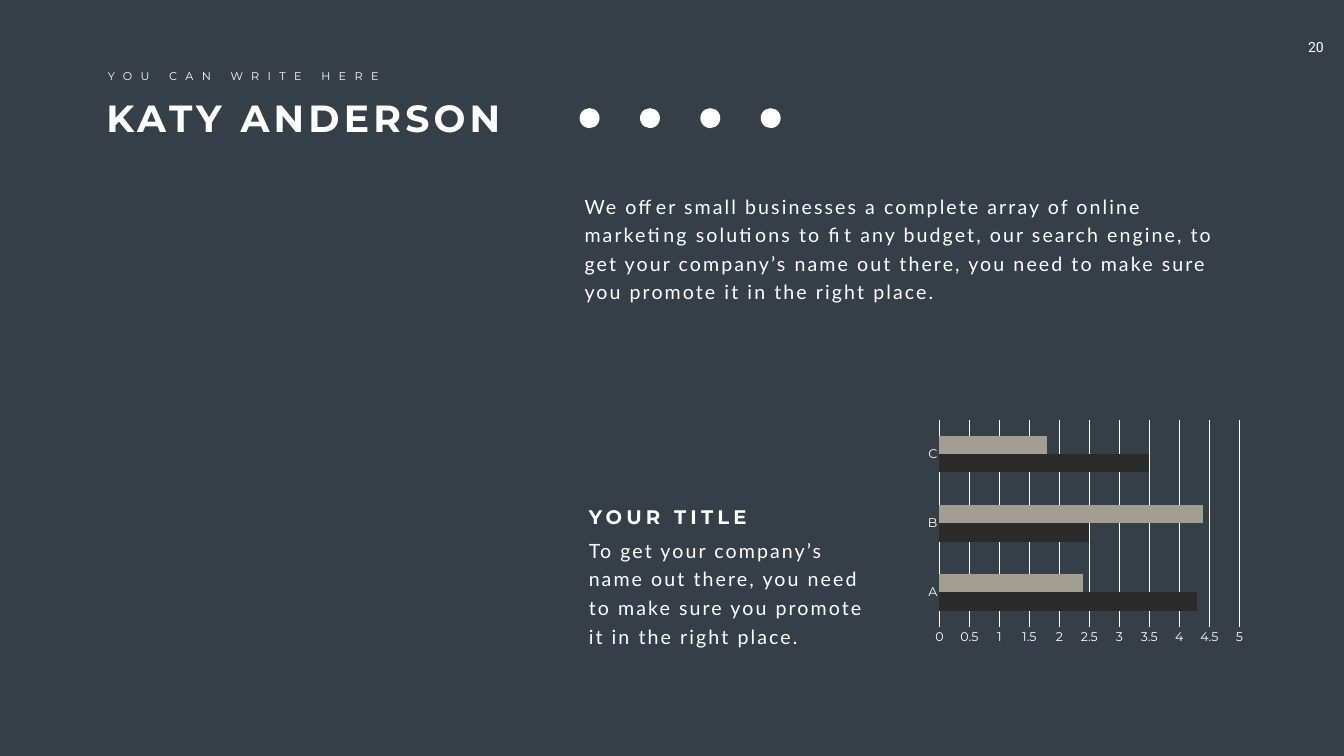
from pptx import Presentation
from pptx.chart.data import CategoryChartData
from pptx.dml.color import RGBColor
from pptx.enum.chart import XL_CHART_TYPE, XL_TICK_MARK
from pptx.enum.shapes import MSO_SHAPE
from pptx.enum.text import MSO_AUTO_SIZE, PP_ALIGN
from pptx.util import Emu, Pt

EMU_PER_PX = 9525
COLORS = {"background": "363E48", "white": "FFFFFF", "dark": "2B2B2B", "sand": "A29F92"}

FORMATS = {
    "page number": {"name": "Roboto", "size": Pt(20)},
    "kicker": {"name": "Montserrat", "size": Pt(16)},
    "name": {"name": "Montserrat", "size": Pt(54), "bold": True},
    "heading": {"name": "Montserrat", "size": Pt(28), "bold": True},
    "body": {"name": "Lato", "size": Pt(28)},
    "chart": {"name": "Montserrat", "size": Pt(18)},
}
LETTER_SPACING = {"kicker": 12, "name": 6, "heading": 6, "body": 3}
LINE_SPACING = {"body": Pt(40.8)}


def px(length):
    return Emu(length * EMU_PER_PX)


def color(key):
    return RGBColor.from_string(COLORS[key])


def apply_format(font, style):
    for attribute, value in FORMATS[style].items():
        setattr(font, attribute, value)
    font.color.rgb = color("white")


class SlideBuilder:
    def __init__(self, deck):
        self.page = deck.slides.add_slide(deck.slide_layouts[6])
        fill = self.page.background.fill
        fill.solid()
        fill.fore_color.rgb = color("background")

    def text(self, words, style, place, align=PP_ALIGN.LEFT, margins=None, wrap=True):
        """Add one paragraph; margins maps frame margin names to px."""
        box = self.page.shapes.add_textbox(*map(px, place))
        frame = box.text_frame
        frame.word_wrap = wrap
        frame.auto_size = MSO_AUTO_SIZE.SHAPE_TO_FIT_TEXT
        for attribute, value in (margins or {}).items():
            setattr(frame, attribute, px(value))
        para = frame.paragraphs[0]
        para.alignment = align
        para.line_spacing = LINE_SPACING.get(style)
        span = para.add_run()
        span.text = words
        apply_format(span.font, style)
        if style in LETTER_SPACING:
            span._r.get_or_add_rPr().set("spc", str(LETTER_SPACING[style] * 100))

    def dot(self, center_x, center_y, size):
        place = (center_x - size // 2, center_y - size // 2, size, size)
        shape = self.page.shapes.add_shape(MSO_SHAPE.OVAL, *map(px, place))
        shape.shadow.inherit = False
        shape.fill.solid()
        shape.fill.fore_color.rgb = color("white")
        shape.line.fill.background()

    def bar_chart(self, categories, series, place):
        """Add clustered bars; series maps a name to (values, color key)."""
        data = CategoryChartData()
        data.categories = categories
        for name, (values, _) in series.items():
            data.add_series(name, values)
        chart = self.page.shapes.add_chart(
            XL_CHART_TYPE.BAR_CLUSTERED, *map(px, place), data
        ).chart
        chart.has_title = False
        chart.has_legend = False
        apply_format(chart.font, "chart")

        plot = chart.plots[0]
        plot.gap_width = 182
        plot.vary_by_categories = False
        for bars, (_, key) in zip(plot.series, series.values()):
            bars.format.fill.solid()
            bars.format.fill.fore_color.rgb = color(key)

        category_axis, value_axis = chart.category_axis, chart.value_axis
        for axis in (category_axis, value_axis):
            axis.major_tick_mark = axis.minor_tick_mark = XL_TICK_MARK.NONE
            apply_format(axis.tick_labels.font, "chart")
        scale = {"minimum_scale": 0, "maximum_scale": 5, "major_unit": 0.5}
        for attribute, value in scale.items():
            setattr(value_axis, attribute, value)
        value_axis.format.line.fill.background()
        for line in (category_axis.format.line, value_axis.major_gridlines.format.line):
            line.color.rgb = color("white")
            line.width = Pt(0.75)


def main():
    deck = Presentation()
    deck.slide_width, deck.slide_height = px(2560), px(1440)
    slide = SlideBuilder(deck)

    slide.text("20", "page number", (2466, 64, 97, 52), PP_ALIGN.CENTER,
               {"margin_left": 19, "margin_right": 35, "margin_top": 10, "margin_bottom": 10})
    slide.text("YOU CAN WRITE HERE", "kicker", (196, 128, 555, 36), wrap=False)
    slide.text("KATY ANDERSON", "name", (193, 176, 912, 97))

    for index in range(4):
        slide.dot(1123 + 115 * index, 225, 38)

    slide.text(
        "We offer small businesses a complete array of online marketing solutions to fit "
        "any budget, our search engine, to get your company’s name out there, you need to "
        "make sure you promote it in the right place.",
        "body", (1104, 356, 1275, 225))
    slide.text("YOUR TITLE", "heading", (1112, 957, 488, 55))
    slide.text(
        "To get your company’s name out there, you need to make sure you promote it in "
        "the right place.",
        "body", (1112, 1012, 554, 225))

    slide.bar_chart(
        ["A", "B", "C"],
        {"Series 1": ([4.3, 2.5, 3.5], "dark"), "Series 2": ([2.4, 4.4, 1.8], "sand")},
        (1755, 791, 625, 445))
    deck.save("out.pptx")


if __name__ == "__main__":
    main()
